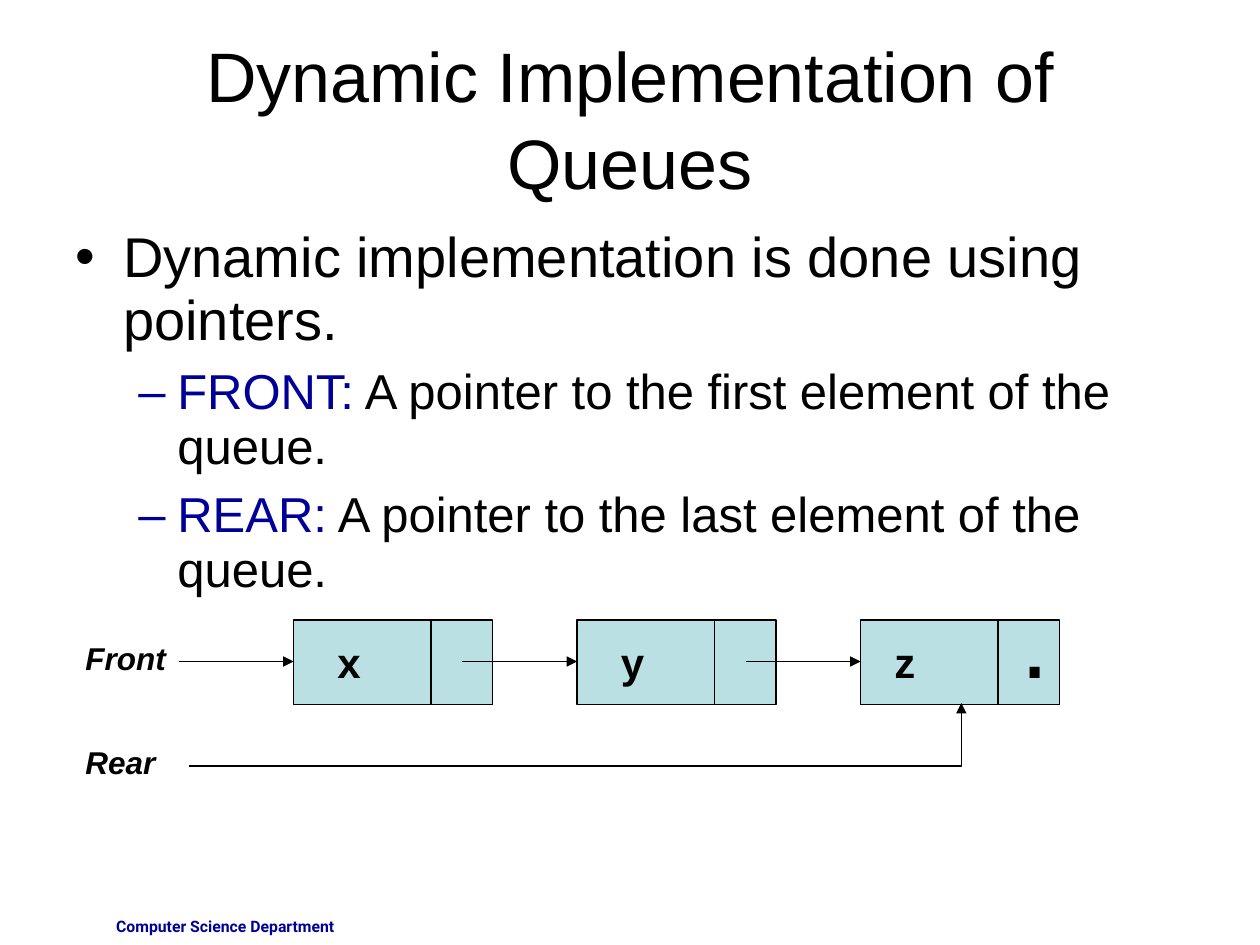
"""Build a slide on the dynamic implementation of queues."""
import pptx
import pptx.util
import pptx.dml.color
import pptx.enum.shapes
import pptx.enum.text
import pptx.oxml.ns
from lxml import etree

Inches, Pt = pptx.util.Inches, pptx.util.Pt
ALIGN = pptx.enum.text.PP_ALIGN
ANCHOR = pptx.enum.text.MSO_ANCHOR
CONNECTOR = pptx.enum.shapes.MSO_CONNECTOR
qn = pptx.oxml.ns.qn

COLORS = {"ink": "000000", "accent": "000099", "node": "BBE0E3"}
TITLE = "Dynamic Implementation of Queues"
FOOTER = "Computer Science Department"
BULLETS = [
    (0, [("Dynamic implementation is done using pointers.", "ink")]),
    (1, [("FRONT:", "accent"), (" A pointer to the first element of the queue.", "ink")]),
    (1, [("REAR:", "accent"), (" A pointer to the last element of the queue.", "ink")]),
]
LEVELS = [
    {"char": "•", "color": "ink", "size": 32, "left": 0.38, "hang": 0.38, "before": 8},
    {"char": "–", "color": "accent", "size": 28, "left": 0.81, "hang": 0.31, "before": 7},
]
NODES = [("x", 0.25), ("y", 0.25), ("z", 0.17)]
POINTERS = [("Front", 5.02), ("Rear", 5.85)]
NODE_LEFT, NODE_TOP, NODE_W, NODE_H = 2.33, 4.92, 1.58, 0.67
NODE_STEP, LINK_X, ARROW_X, ARROW_Y = 2.25, 1.09, 1.34, 5.25


def rgb(name):
    return pptx.dml.color.RGBColor.from_string(COLORS[name])


def style(font, size, color="ink", name="Arial", bold=False, italic=False):
    font.size, font.name, font.bold, font.italic = Pt(size), name, bold, italic
    font.color.rgb = rgb(color)


def add_box(slide, left, top, width, height, anchor=ANCHOR.TOP):
    s = slide.shapes.add_textbox(Inches(left), Inches(top), Inches(width), Inches(height))
    tf = s.text_frame
    tf.word_wrap = True
    tf.vertical_anchor = anchor
    return tf


def add_label(slide, text, box, size, align=ALIGN.LEFT, anchor=ANCHOR.TOP, **font):
    p = add_box(slide, *box, anchor).paragraphs[0]
    p.text = text
    p.alignment = align
    style(p.runs[0].font, size, **font)
    return p


def add_line(slide, x1, y1, x2, y2, arrow=False, kind=CONNECTOR.STRAIGHT):
    s = slide.shapes.add_connector(kind, Inches(x1), Inches(y1), Inches(x2), Inches(y2))
    s.line.color.rgb = rgb("ink")
    s.line.width = Pt(0.75)
    if arrow:
        etree.SubElement(s.line._get_or_add_ln(), qn("a:tailEnd"), type="triangle")
    etree.SubElement(s._element.spPr, qn("a:effectLst"))
    return s


def add_bullets(slide):
    tf = add_box(slide, 0.5, 1.75, 9, 4.95)
    for i, (level, runs) in enumerate(BULLETS):
        look = LEVELS[level]
        p = tf.add_paragraph() if i else tf.paragraphs[0]
        p.level = level
        p.line_spacing = 0.94
        p.space_before = Pt(look["before"] if i else 0)
        pPr = p._p.get_or_add_pPr()
        pPr.set("marL", str(Inches(look["left"])))
        pPr.set("indent", str(-Inches(look["hang"])))
        color = etree.SubElement(pPr, qn("a:buClr"))
        etree.SubElement(color, qn("a:srgbClr"), val=COLORS[look["color"]])
        etree.SubElement(pPr, qn("a:buFont"), typeface="Arial")
        etree.SubElement(pPr, qn("a:buChar"), char=look["char"])
        for text, name in runs:
            r = p.add_run()
            r.text = text
            style(r.font, look["size"], name)


def add_queue(slide):
    lefts = [NODE_LEFT + i * NODE_STEP for i in range(len(NODES))]
    for left, (text, offset) in zip(lefts, NODES):
        s = slide.shapes.add_shape(
            pptx.enum.shapes.MSO_SHAPE.RECTANGLE,
            Inches(left), Inches(NODE_TOP), Inches(NODE_W), Inches(NODE_H))
        s.shadow.inherit = False
        s.fill.solid()
        s.fill.fore_color.rgb = rgb("node")
        s.line.color.rgb = rgb("ink")
        s.line.width = Pt(0.75)
        add_line(slide, left + LINK_X, NODE_TOP, left + LINK_X, NODE_TOP + NODE_H)
        add_label(slide, text, (left + offset, 5, 0.5, 0.5), 24, bold=True)
    for left, target in zip(lefts, lefts[1:]):
        add_line(slide, left + ARROW_X, ARROW_Y, target, ARROW_Y, arrow=True)
    add_label(slide, ".", (8, 4.5, 0.33, 1.1), 60)
    for text, top in POINTERS:
        add_label(slide, text, (0.58, top, 1, 0.4), 18, bold=True, italic=True)
    add_line(slide, 1.42, ARROW_Y, NODE_LEFT, ARROW_Y, arrow=True)
    rear = add_line(slide, 1.5, 6.08, 7.63, 5.58, arrow=True, kind=CONNECTOR.ELBOW)
    rear._element.spPr.find(qn("a:prstGeom")).set("prst", "bentConnector2")


def main():
    prs = pptx.Presentation()
    prs.slide_width, prs.slide_height = Inches(10), Inches(7.5)
    slide = prs.slides.add_slide(prs.slide_layouts[6])
    add_label(slide, FOOTER, (0.42, 7.23, 2.33, 0.27), 9, ALIGN.RIGHT,
              color="accent", name="Roboto", bold=True)
    title = add_label(slide, TITLE, (0.5, 0.3, 9, 1.25), 40, ALIGN.CENTER, ANCHOR.MIDDLE)
    title.line_spacing = 1.04
    add_bullets(slide)
    add_queue(slide)
    prs.save("out.pptx")


if __name__ == "__main__":
    main()
